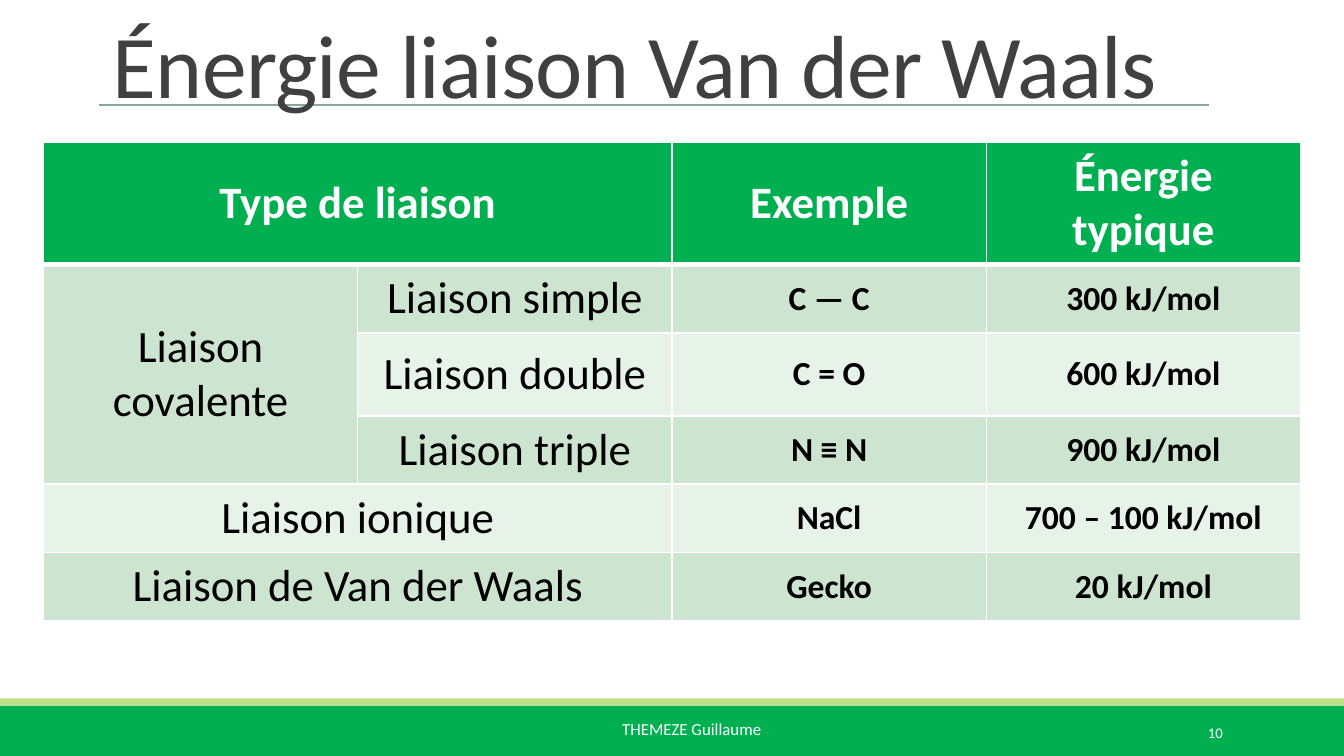
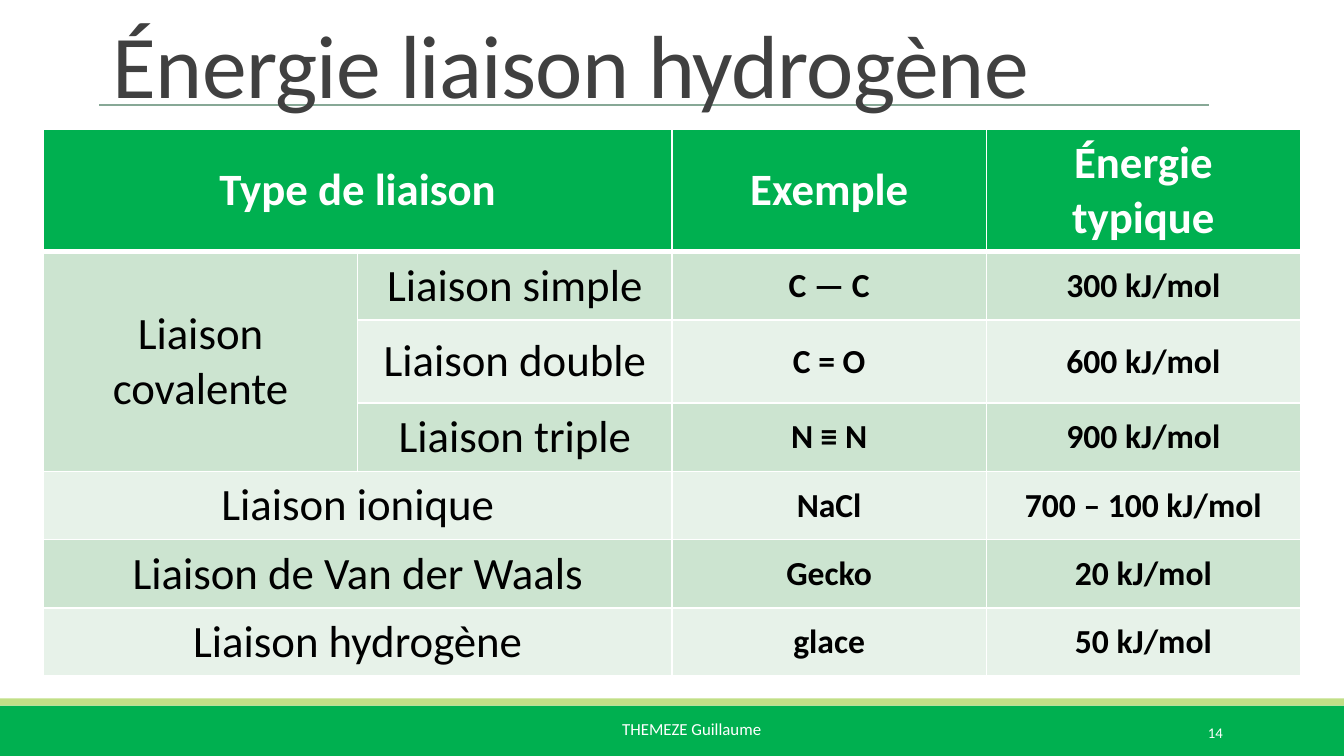
from dataclasses import dataclass

from lxml import etree
from pptx import Presentation
from pptx.dml.color import RGBColor
from pptx.enum.shapes import MSO_CONNECTOR, MSO_SHAPE
from pptx.enum.text import MSO_ANCHOR, MSO_AUTO_SIZE, PP_ALIGN
from pptx.oxml.ns import qn
from pptx.util import Cm, Pt

RECTANGLE = MSO_SHAPE.RECTANGLE
STRAIGHT = MSO_CONNECTOR.STRAIGHT
LEFT, CENTER, RIGHT = PP_ALIGN.LEFT, PP_ALIGN.CENTER, PP_ALIGN.RIGHT
TOP, MIDDLE, BOTTOM = MSO_ANCHOR.TOP, MSO_ANCHOR.MIDDLE, MSO_ANCHOR.BOTTOM
NO_AUTOFIT = MSO_AUTO_SIZE.NONE
TITLE_ONLY = 5


@dataclass(frozen=True)
class Theme:
    font: str = "Calibri"
    green: str = "00B050"
    lime: str = "C1DF87"
    rule: str = "87A896"
    title: str = "404040"
    band_dark: str = "CCE4D0"
    band_light: str = "E7F2E9"
    white: str = "FFFFFF"
    black: str = "000000"
    title_size: float = 48
    label_size: float = 24
    value_size: float = 18
    footer_size: float = 9
    number_size: float = 7.9


THEME = Theme()
SLIDE_WIDTH, SLIDE_HEIGHT = Cm(25.4), Cm(14.29)
MARGIN, CONTENT_WIDTH = Cm(1.88), Cm(20.96)
TABLE_LEFT, COLUMN_WIDTH, COLUMNS = Cm(0.82), Cm(5.94), 4
HEADER_HEIGHT, ROW_HEIGHT = Cm(2.29), Cm(1.29)
COVALENT_HEIGHTS = [ROW_HEIGHT, Cm(1.57), ROW_HEIGHT]
THIN, THICK = Pt(1), Pt(3)

AUTHOR = "THEMEZE Guillaume"
HEADER = ("Type de liaison", "Exemple", "Énergie typique")
COVALENT = "Liaison covalente"
COVALENT_BONDS = [
    ("Liaison simple", "C — C", "300 kJ/mol"),
    ("Liaison double", "C = O", "600 kJ/mol"),
    ("Liaison triple", "N ≡ N", "900 kJ/mol"),
]
IONIC = ("Liaison ionique", "NaCl", "700 – 100 kJ/mol")
VAN_DER_WAALS = ("Liaison de Van der Waals", "Gecko", "20 kJ/mol")
HYDROGEN = ("Liaison hydrogène", "glace", "50 kJ/mol")


def rgb(color):
    return RGBColor.from_string(color)


def add_run(paragraph, text, size, color, bold=False):
    run = paragraph.add_run()
    run.text = text
    run.font.name = THEME.font
    run.font.size = Pt(size)
    run.font.bold = bold
    run.font.color.rgb = rgb(color)
    return run


def add_title(slide, text):
    """Fill the title placeholder and bring it in front of the title rule."""
    title = slide.shapes.title
    title.left, title.top, title.width, title.height = MARGIN, Cm(0.41), CONTENT_WIDTH, Cm(1.93)
    title._element.getparent().append(title._element)
    frame = title.text_frame
    frame.auto_size = NO_AUTOFIT
    frame.word_wrap = True
    frame.vertical_anchor = BOTTOM
    paragraph = frame.paragraphs[0]
    paragraph.alignment = LEFT
    paragraph.line_spacing = 0.85
    run = add_run(paragraph, text, THEME.title_size, THEME.title)
    run.font._element.set("spc", "-40")


def add_band(slide, top, height, color):
    band = slide.shapes.add_shape(RECTANGLE, 0, top, SLIDE_WIDTH, height)
    band.shadow.inherit = False
    band.fill.solid()
    band.fill.fore_color.rgb = rgb(color)
    band.line.fill.background()


def add_title_rule(slide):
    height = Cm(1.98)
    rule = slide.shapes.add_connector(STRAIGHT, MARGIN, height, MARGIN + CONTENT_WIDTH, height)
    rule.line.color.rgb = rgb(THEME.rule)
    rule.line.width = THIN
    etree.SubElement(rule._element.spPr, qn("a:effectLst"))


def add_footer_text(slide, text, left, width, size, alignment, anchor):
    box = slide.shapes.add_textbox(left, Cm(13.46), width, Cm(0.76))
    frame = box.text_frame
    frame.word_wrap = True
    frame.vertical_anchor = anchor
    paragraph = frame.paragraphs[0]
    paragraph.alignment = alignment
    add_run(paragraph, text, size, THEME.white)


def add_frame(slide, number):
    """Draw what every slide shares: bands, title rule, author and slide number."""
    add_band(slide, Cm(13.34), Cm(0.95), THEME.green)
    add_band(slide, Cm(13.2), Cm(0.14), THEME.lime)
    add_title_rule(slide)
    add_footer_text(slide, AUTHOR, Cm(11.51), Cm(3.6), THEME.footer_size, LEFT, TOP)
    add_footer_text(slide, str(number), Cm(20.62), Cm(2.74), THEME.number_size, RIGHT, MIDDLE)


def set_borders(cell, top, bottom):
    properties = cell._tc.get_or_add_tcPr()
    for side, width in (("L", THIN), ("R", THIN), ("T", top), ("B", bottom)):
        line = etree.SubElement(properties, qn(f"a:ln{side}"), w=str(width))
        fill = etree.SubElement(line, qn("a:solidFill"))
        etree.SubElement(fill, qn("a:srgbClr"), val=THEME.white)


def style_cell(cell, row):
    """Set borders and banded fill from the row index."""
    set_borders(cell, THICK if row == 1 else THIN, THICK if row == 0 else THIN)
    cell.fill.solid()
    band = THEME.band_dark if row % 2 else THEME.band_light
    cell.fill.fore_color.rgb = rgb(band if row else THEME.green)


def write_cell(cell, text, size, color, bold):
    cell.vertical_anchor = MIDDLE
    paragraph = cell.text_frame.paragraphs[0]
    paragraph.alignment = CENTER
    add_run(paragraph, text, size, color, bold)


def add_bond_table(slide, top, other_bonds):
    bonds = COVALENT_BONDS + other_bonds
    heights = [HEADER_HEIGHT, *COVALENT_HEIGHTS] + [ROW_HEIGHT] * len(other_bonds)
    table = slide.shapes.add_table(len(heights), COLUMNS, TABLE_LEFT, top,
                                   COLUMN_WIDTH * COLUMNS, sum(heights)).table
    for row, height in enumerate(heights):
        table.rows[row].height = height
        for column in range(COLUMNS):
            style_cell(table.cell(row, column), row)

    last_covalent = len(COVALENT_BONDS)
    table.cell(1, 0).merge(table.cell(last_covalent, 0))
    write_cell(table.cell(1, 0), COVALENT, THEME.label_size, THEME.black, False)

    for row, (label, *values) in enumerate([HEADER, *bonds]):
        is_header = row == 0
        is_covalent = 1 <= row <= last_covalent
        color = THEME.white if is_header else THEME.black
        if not is_covalent:
            table.cell(row, 0).merge(table.cell(row, 1))
        label_cell = table.cell(row, 1 if is_covalent else 0)
        write_cell(label_cell, label, THEME.label_size, color, is_header)
        value_size = THEME.label_size if is_header else THEME.value_size
        for column, value in enumerate(values, start=2):
            write_cell(table.cell(row, column), value, value_size, color, True)


def add_energy_slide(presentation, number, title, table_top, other_bonds):
    slide = presentation.slides.add_slide(presentation.slide_layouts[TITLE_ONLY])
    add_frame(slide, number)
    add_title(slide, title)
    add_bond_table(slide, table_top, other_bonds)


def main():
    presentation = Presentation()
    presentation.slide_width = SLIDE_WIDTH
    presentation.slide_height = SLIDE_HEIGHT
    add_energy_slide(presentation, 10, "Énergie liaison Van der Waals", Cm(2.68),
                     [IONIC, VAN_DER_WAALS])
    add_energy_slide(presentation, 14, "Énergie liaison hydrogène", Cm(2.44),
                     [IONIC, VAN_DER_WAALS, HYDROGEN])
    presentation.save("out.pptx")


if __name__ == "__main__":
    main()
